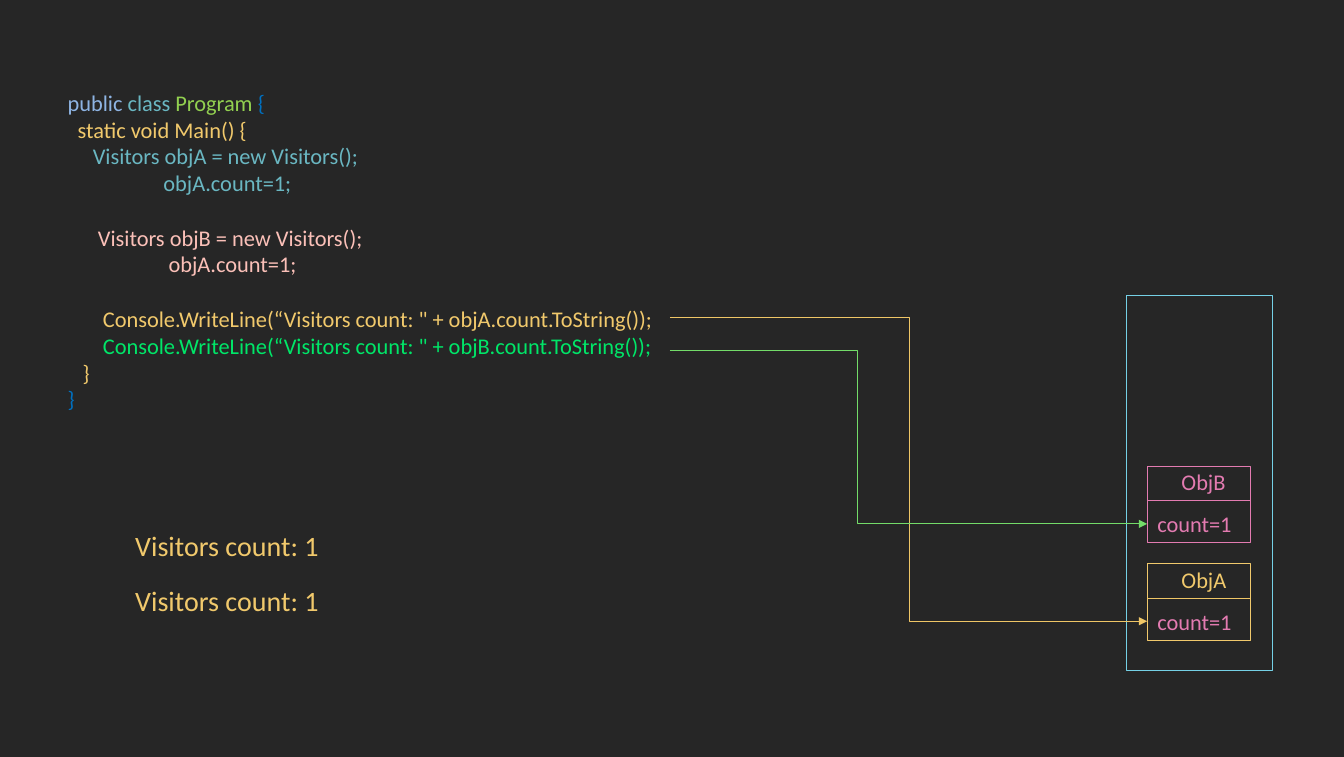
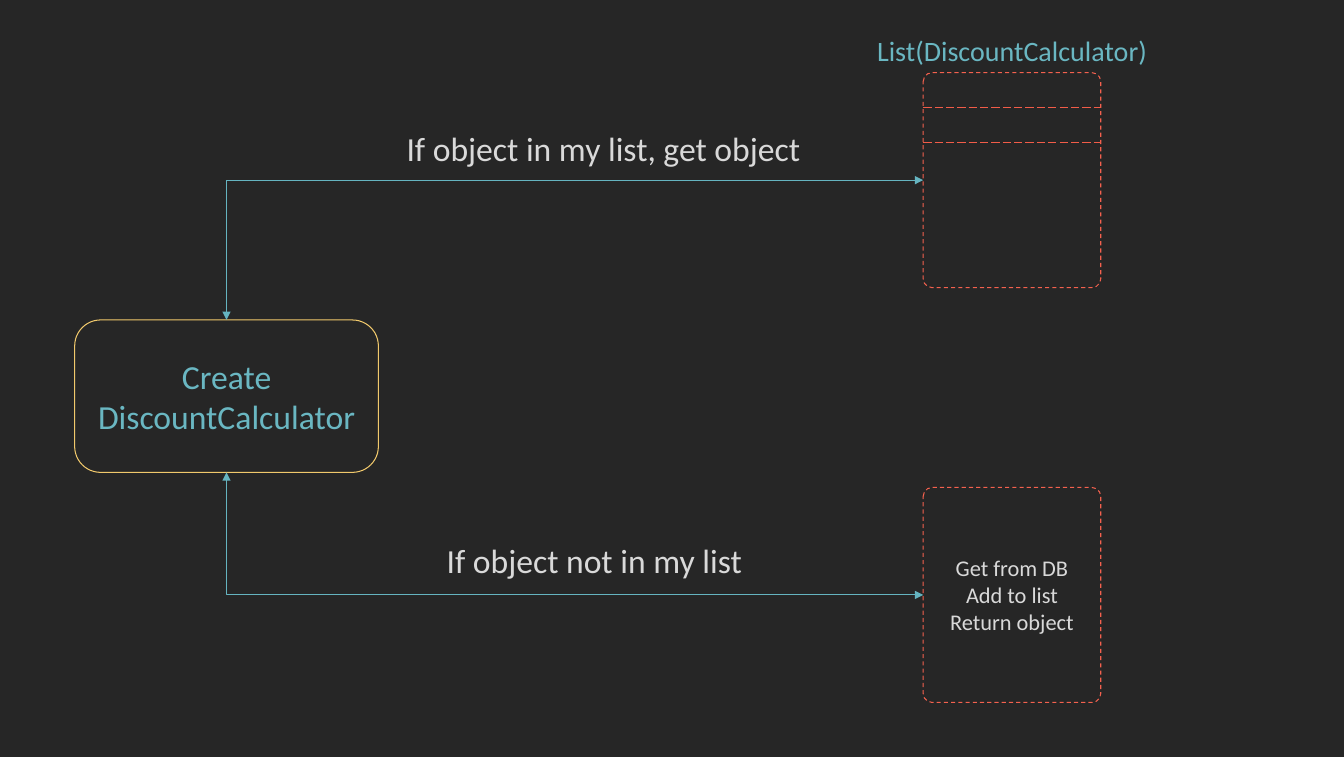
from lxml import etree
from pptx import Presentation
from pptx.dml.color import RGBColor
from pptx.enum.dml import MSO_LINE
from pptx.enum.shapes import MSO_CONNECTOR, MSO_SHAPE
from pptx.enum.text import MSO_ANCHOR, MSO_AUTO_SIZE, PP_ALIGN
from pptx.oxml.ns import qn
from pptx.util import Inches, Pt

RECT = MSO_SHAPE.RECTANGLE
ROUND = MSO_SHAPE.ROUNDED_RECTANGLE
STRAIGHT = MSO_CONNECTOR.STRAIGHT
DASH, LONG = MSO_LINE.DASH, MSO_LINE.LONG_DASH
LEFT, CENTER = PP_ALIGN.LEFT, PP_ALIGN.CENTER
TOP, MIDDLE = MSO_ANCHOR.TOP, MSO_ANCHOR.MIDDLE
FIT = MSO_AUTO_SIZE.SHAPE_TO_FIT_TEXT

FONT = "Calibri"
COLS, ROWS = 133.2, 75
CELL = Inches(0.1)
LINE = 19.5
COLORS = {
    "back": "262626", "gold": "F1C96C", "amber": "EFC666", "pink": "E37BB1",
    "teal": "6AB7C2", "arrow": "65B4C0", "cyan": "75D1E6", "red": "F4614E",
    "rule": "F25C48", "gray": "D9D9D9", "sky": "8EB4E3", "lime": "92D050",
    "blue": "0070C0", "rose": "FBC0B8", "green": "00E668", "leaf": "73DC69",
}
CODE = [
    (0, [("public ", "sky"), ("class ", "teal"), ("Program ", "lime"), ("{", "blue")]),
    (0, [("  static void Main() {", "gold")]),
    (0, [("     Visitors objA = new Visitors();", "teal")]),
    (0, [("                   objA.count=1;", "teal")]),
    (1, [("      Visitors objB = new Visitors();", "rose")]),
    (0, [("                    objA.count=1;", "rose")]),
    (1, [("       Console.WriteLine(“Visitors count: \" + objA.count.ToString());", "gold")]),
    (0, [("       Console.WriteLine(“Visitors count: \" + objB.count.ToString());", "green")]),
    (0, [("   }", "gold")]),
    (0, [("}", "blue")]),
]


def rgb(name):
    return RGBColor.from_string(COLORS[name])


def grid(*cells):
    return [round(n * CELL) for n in cells]


def stroke(item, color, dash=None):
    item.line.color.rgb = rgb(color)
    item.line.width = Pt(0.75)
    if dash:
        item.line.dash_style = dash


def frame(shapes, kind, box, color, dash=None, curve=None):
    item = shapes.add_shape(kind, *grid(*box))
    item.shadow.inherit = False
    item.fill.background()
    stroke(item, color, dash)
    if curve:
        item.adjustments[0] = curve


def rule(shapes, x, y, width, color, dash=None):
    item = shapes.add_connector(STRAIGHT, *grid(x, y, x + width, y))
    stroke(item, color, dash)
    etree.SubElement(item.element.spPr, qn("a:effectLst"))


def route(shapes, points, color, ends):
    start, *rest = [grid(*point) for point in points]
    pen = shapes.build_freeform(*start)
    pen.add_line_segments(rest, close=False)
    item = pen.convert_to_shape()
    item.shadow.inherit = False
    item.fill.background()
    stroke(item, color)
    for end in ends:
        etree.SubElement(item.element.spPr.find(qn("a:ln")), qn(end), type="triangle")


def add_run(para, text, size, color):
    run = para.add_run()
    run.text = text
    run.font.name, run.font.size = FONT, Pt(size)
    run.font.color.rgb = rgb(color)


def panel(shapes, box, wrap=False, anchor=TOP):
    area = shapes.add_textbox(*grid(*box)).text_frame
    area.margin_left = area.margin_right = area.margin_top = area.margin_bottom = Inches(0.05)
    area.word_wrap, area.auto_size = wrap, FIT
    area.vertical_anchor = anchor
    return area


def label(shapes, box, text, size, color, align=LEFT, wrap=False, anchor=TOP):
    para = panel(shapes, box, wrap, anchor).paragraphs[0]
    para.alignment = align
    for row, part in enumerate(text.split("\n")):
        if row:
            para.add_line_break()
        add_run(para, part, size, color)


def code(shapes, box):
    area = panel(shapes, box)
    for row, (gap, runs) in enumerate(CODE):
        para = area.add_paragraph() if row else area.paragraphs[0]
        if gap:
            para.space_before = Pt(gap * LINE)
        for text, color in runs:
            add_run(para, text, 16, color)


def record(shapes, box, name, color, edge):
    x, y, width, height = box
    group = shapes.add_group_shape().shapes
    frame(group, RECT, box, color)
    rule(group, x, y + 0.45 * height, width, edge)
    label(group, (x + 2.9, y - 0.3, 5.6, 3.3), name, 16, color)
    label(group, (x + 0.5, y + 3.9, 10.9, 3.3), "count=1", 16, "pink", wrap=True)
    return x, y + 0.75 * height


def heap(shapes, box):
    x, y, width, height = box
    frame(shapes, RECT, box, "cyan")
    items = [("ObjB", "pink", "pink"), ("ObjA", "gold", "amber")]
    return [
        record(shapes, (x + 2.1, y + 16.9 + 9.65 * row, 10.2, 7.6), *item)
        for row, item in enumerate(items)
    ]


def memory(slide):
    shapes = slide.shapes
    port_b, port_a = heap(shapes, (111.6, 29.3, 14.5, 37.1))
    code(shapes, (6.2, 8.3, 59.3, 33.8))
    for y, bend, port, color in [(31.5, 90.1, port_a, "amber"), (34.7, 85, port_b, "leaf")]:
        points = [(66.4, y), (bend, y), (bend, port[1]), port]
        route(shapes, points, color, ["a:tailEnd"])
    for row in range(2):
        label(shapes, (12.9, 51.9 + 5.4 * row, 19.3, 3.7), "Visitors count: 1", 20, "gold")


def maker(shapes, box):
    x, y, width, height = box
    group = shapes.add_group_shape().shapes
    frame(group, ROUND, box, "gold", curve=0.17)
    label(group, (x + 1.3, y + 3.4, width - 2.6, height - 6.8),
          "Create DiscountCalculator", 24, "teal", CENTER, True, MIDDLE)
    return x + width / 2, y, y + height


def store(shapes, box, rules=0):
    x, y, width, height = box
    frame(shapes, ROUND, box, "red", DASH, 0.05)
    for row in range(rules):
        rule(shapes, x, y + 3.45 * (row + 1), width, "rule", LONG)
    return x, y + height / 2


def cache(slide):
    shapes = slide.shapes
    mid, top, base = maker(shapes, (7.4, 31.7, 30.1, 15.1))
    found = store(shapes, (91.5, 7.2, 17.6, 21.3), 2)
    fresh = store(shapes, (91.5, 48.3, 17.6, 21.3))
    for y, port in [(top, found), (base, fresh)]:
        route(shapes, [(mid, y), (mid, port[1]), port], "arrow", ["a:headEnd", "a:tailEnd"])
    for box, text, size, color in [
        ((86.4, 2.8, 27.8, 3.7), "List(DiscountCalculator)", 20, "teal"),
        ((39.7, 12.2, 40.2, 4.3), "If object in my list, get object", 24, "gray"),
        ((43.7, 53, 30.4, 4.3), "If object not in my list", 24, "gray"),
        ((93.6, 54.4, 13.4, 8.8), "Get from DB\nAdd to list\nReturn object", 16, "gray"),
    ]:
        label(shapes, box, text, size, color, CENTER)


def main():
    deck = Presentation()
    deck.slide_width, deck.slide_height = grid(COLS, ROWS)
    fill = deck.slide_master.background.fill
    fill.solid()
    fill.fore_color.rgb = rgb("back")
    for build in (memory, cache):
        build(deck.slides.add_slide(deck.slide_layouts[6]))
    deck.save("out.pptx")


if __name__ == "__main__":
    main()
